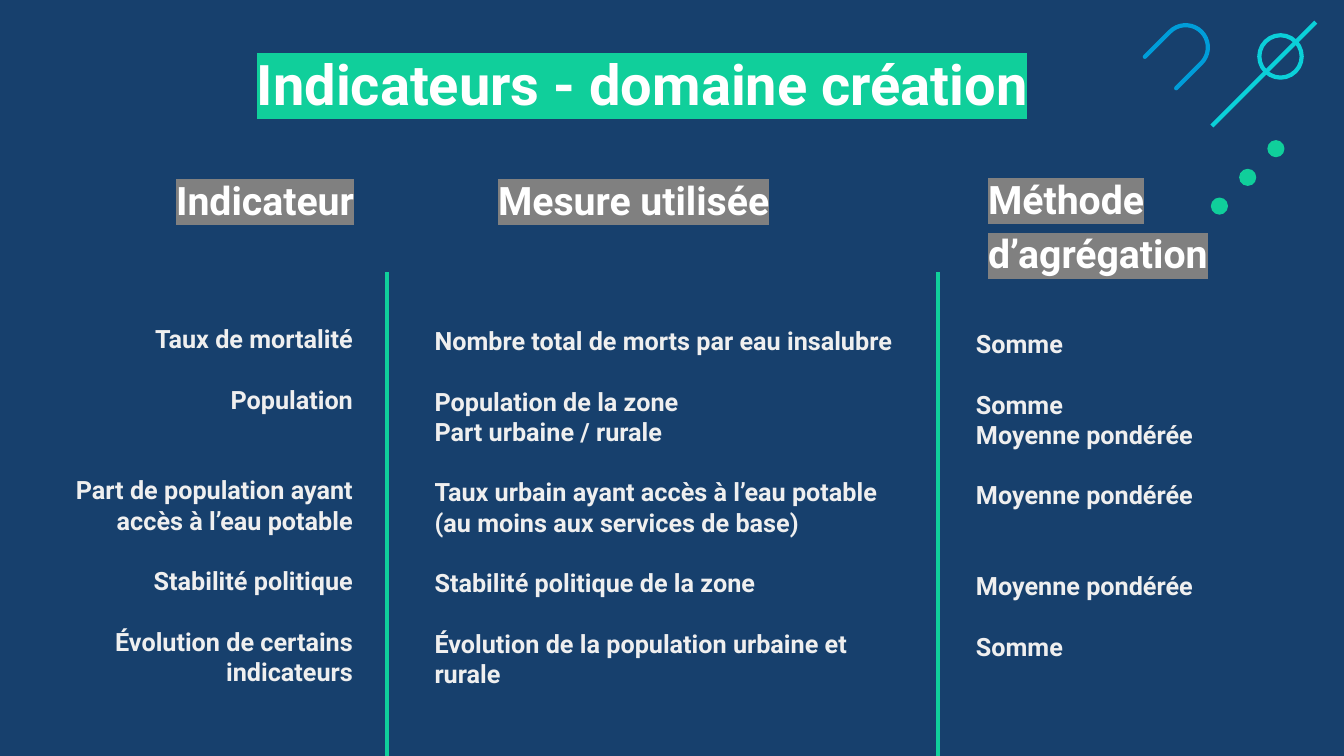
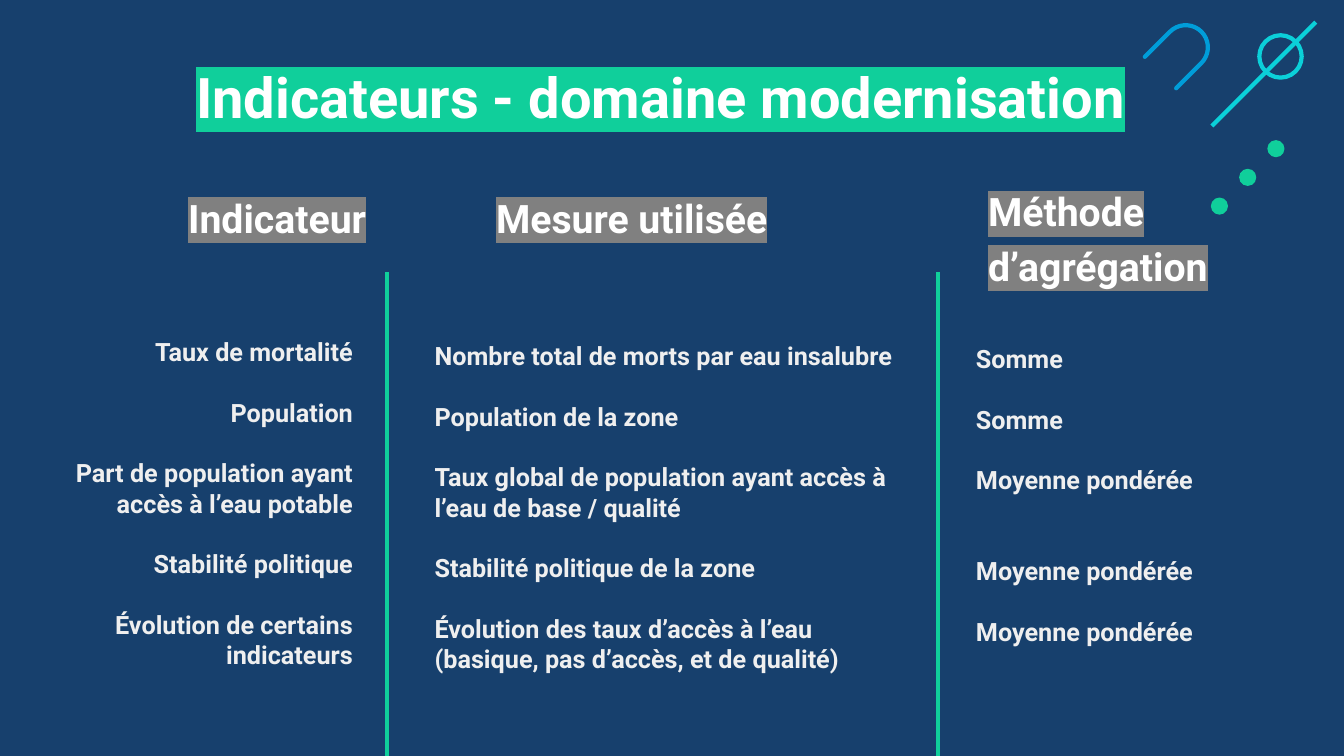
from math import cos, radians, sin

from lxml import etree
from pptx import Presentation
from pptx.dml.color import RGBColor
from pptx.enum import shapes, text
from pptx.oxml.ns import qn
from pptx.util import Inches, Pt

NAVY = RGBColor(0x17, 0x40, 0x6D)
GREEN = RGBColor(0x10, 0xCF, 0x9B)
BLUE = RGBColor(0x00, 0x9D, 0xD9)
CYAN = RGBColor(0x0B, 0xD0, 0xD9)
GREY = RGBColor(0x80, 0x80, 0x80)
WHITE = RGBColor(0xFF, 0xFF, 0xFF)
PALE = RGBColor(0xEF, 0xEF, 0xEF)

LEFT, MID, RIGHT = text.PP_ALIGN.LEFT, text.PP_ALIGN.CENTER, text.PP_ALIGN.RIGHT
TOP, HALF = text.MSO_ANCHOR.TOP, text.MSO_ANCHOR.MIDDLE
PAD = 0.13
ROW = 21.6  # height of one body line, in points

# Text styles: font values, paragraph values, highlight
TITLE = dict(font=dict(size=Pt(40)), para=dict(alignment=MID), ink=WHITE, mark=GREEN)
HEAD = dict(font=dict(size=Pt(28)), para=dict(line_spacing=1.15), ink=WHITE, mark=GREY)
BODY = dict(font=dict(size=Pt(18)), para={}, ink=PALE, mark=None)


def write(slide, box, lines, style, align=LEFT, anchor=HALF, left=PAD, foot=PAD):
    """Add a text box; each line is (blank rows above, text)."""
    frame = slide.shapes.add_textbox(*map(Inches, box)).text_frame
    form = dict(word_wrap=True, vertical_anchor=anchor, margin_left=Inches(left),
                margin_top=Inches(PAD), margin_right=Inches(PAD),
                margin_bottom=Inches(foot))
    for key, val in form.items():
        setattr(frame, key, val)
    for i, (gap, words) in enumerate(lines):
        para = frame.paragraphs[0] if i == 0 else frame.add_paragraph()
        look = dict(alignment=align, space_before=Pt(gap * ROW)) | style["para"]
        for key, val in look.items():
            setattr(para, key, val)
        run = para.add_run()
        run.text = words
        for key, val in (dict(name="Roboto", bold=True) | style["font"]).items():
            setattr(run.font, key, val)
        run.font.color.rgb = style["ink"]
        if style["mark"] is not None:
            mark = etree.Element(qn("a:highlight"))
            etree.SubElement(mark, qn("a:srgbClr")).set("val", str(style["mark"]))
            run.font._element.find(qn("a:solidFill")).addnext(mark)


def stroke(slide, start, end, color):
    """Add a plain straight line."""
    line = slide.shapes.add_connector(
        shapes.MSO_CONNECTOR.STRAIGHT, *map(Inches, start + end))
    line.line.color.rgb = color
    line.line.width = Pt(3)
    etree.SubElement(line._element.spPr, qn("a:effectLst"))


# Contents: positions that differ, then the three columns
INDEX = ["Taux de mortalité", "Population",
         "Part de population ayant accès à l’eau potable",
         "Stabilité politique", "Évolution de certains indicateurs"]
PAGES = [
    dict(
        title="Indicateurs - domaine création", spot=(0.74, 0.36),
        heads=[(0.52, 1.75, 3.12), (4.81, 1.75, 3.46), (9.67, 2.01, 2.8)],
        top=3.11, gaps=[0, 1, 2, 1, 1],
        wide=[(0, "Nombre total de morts par eau insalubre"),
              (1, "Population de la zone"), (0, "Part urbaine / rurale"),
              (1, "Taux urbain ayant accès à l’eau potable"),
              (0, "(au moins aux services de base)"),
              (1, "Stabilité politique de la zone"),
              (1, "Évolution de la population urbaine et"), (0, "rurale")],
        means=[(0, "Somme"), (1, "Somme"), (0, "Moyenne pondérée"),
               (1, "Moyenne pondérée"), (2, "Moyenne pondérée"), (1, "Somme")]),
    dict(
        title="Indicateurs - domaine modernisation", spot=(0.92, 0.49),
        heads=[(0.52, 1.93, 3.24), (4.79, 1.93, 3.46), (9.67, 2.13, 2.8)],
        top=3.09, gaps=[0, 1, 1, 1, 1],
        wide=[(0, "Nombre total de morts par eau insalubre"),
              (1, "Population de la zone"),
              (1, "Taux global de population ayant accès à"),
              (0, "l’eau de base / qualité"),
              (1, "Stabilité politique de la zone"),
              (1, "Évolution des taux d’accès à l’eau"),
              (0, "(basique, pas d’accès, et de qualité)")],
        means=[(0, "Somme"), (1, "Somme"), (1, "Moyenne pondérée"),
               (2, "Moyenne pondérée"), (1, "Moyenne pondérée")]),
]
NAMES = [("Indicateur", RIGHT), ("Mesure utilisée", LEFT),
         ("Méthode d’agrégation", LEFT)]

deck = Presentation()
deck.slide_width, deck.slide_height = Inches(13.33), Inches(7.5)
back = deck.slide_master.background.fill
back.solid()
back.fore_color.rgb = NAVY

# Hook outline: a leg, half a circle, a leg
hub, ray, leg = (11.76, 0.47), 0.22, 0.25
arc = [(hub[0] + ray * cos(radians(a)), hub[1] + ray * sin(radians(a)))
       for a in range(225, 406, 10)]
hook = [(x - leg, y + leg) for x, y in arc[:1]] + arc
hook += [(x - leg, y + leg) for x, y in arc[-1:]]
hook = [(Inches(x), Inches(y)) for x, y in hook]

for page in PAGES:
    slide = deck.slides.add_slide(deck.slide_layouts[6])

    # Corner ornament
    pen = slide.shapes.build_freeform(*hook[0], scale=1.0)
    pen.add_line_segments(hook[1:], close=False)
    curve = pen.convert_to_shape()
    ring = slide.shapes.add_shape(
        shapes.MSO_SHAPE.OVAL, *map(Inches, (12.49, 0.35, 0.42, 0.42)))
    for part, color in [(curve, BLUE), (ring, CYAN)]:
        part.shadow.inherit = False
        part.fill.background()
        part.line.color.rgb = color
        part.line.width = Pt(3)
        part._element.spPr.find(qn("a:ln")).set("cap", "rnd")
    stroke(slide, (13.05, 0.22), (12.02, 1.25), CYAN)
    for i in range(3):
        dot = slide.shapes.add_shape(
            shapes.MSO_SHAPE.OVAL,
            *map(Inches, (12.57 - 0.28 * i, 1.39 + 0.285 * i, 0.17, 0.17)))
        dot.shadow.inherit = False
        dot.fill.solid()
        dot.fill.fore_color.rgb = GREEN
        dot.line.fill.background()

    # Title and column heads
    write(slide, (*page["spot"], 11.26, 0.58), [(0, page["title"])], TITLE, anchor=TOP)
    for (x, y, wide), (name, side) in zip(page["heads"], NAMES):
        write(slide, (x, y, wide, 0.4), [(0, name)], HEAD, side)

    # Column rules
    for x in (3.84, 9.3):
        stroke(slide, (x, 2.7), (x, 7.5), GREEN)

    # Column text
    write(slide, (0.52, page["top"], 3.11, 4.13), list(zip(page["gaps"], INDEX)),
          BODY, RIGHT, foot=0.46)
    write(slide, (4.06, 2.91, 4.98, 4.24), page["wide"], BODY, left=0.25)
    write(slide, (9.43, 3.09, 3.04, 4.24), page["means"], BODY, left=0.25, foot=0.73)

deck.save("out.pptx")
